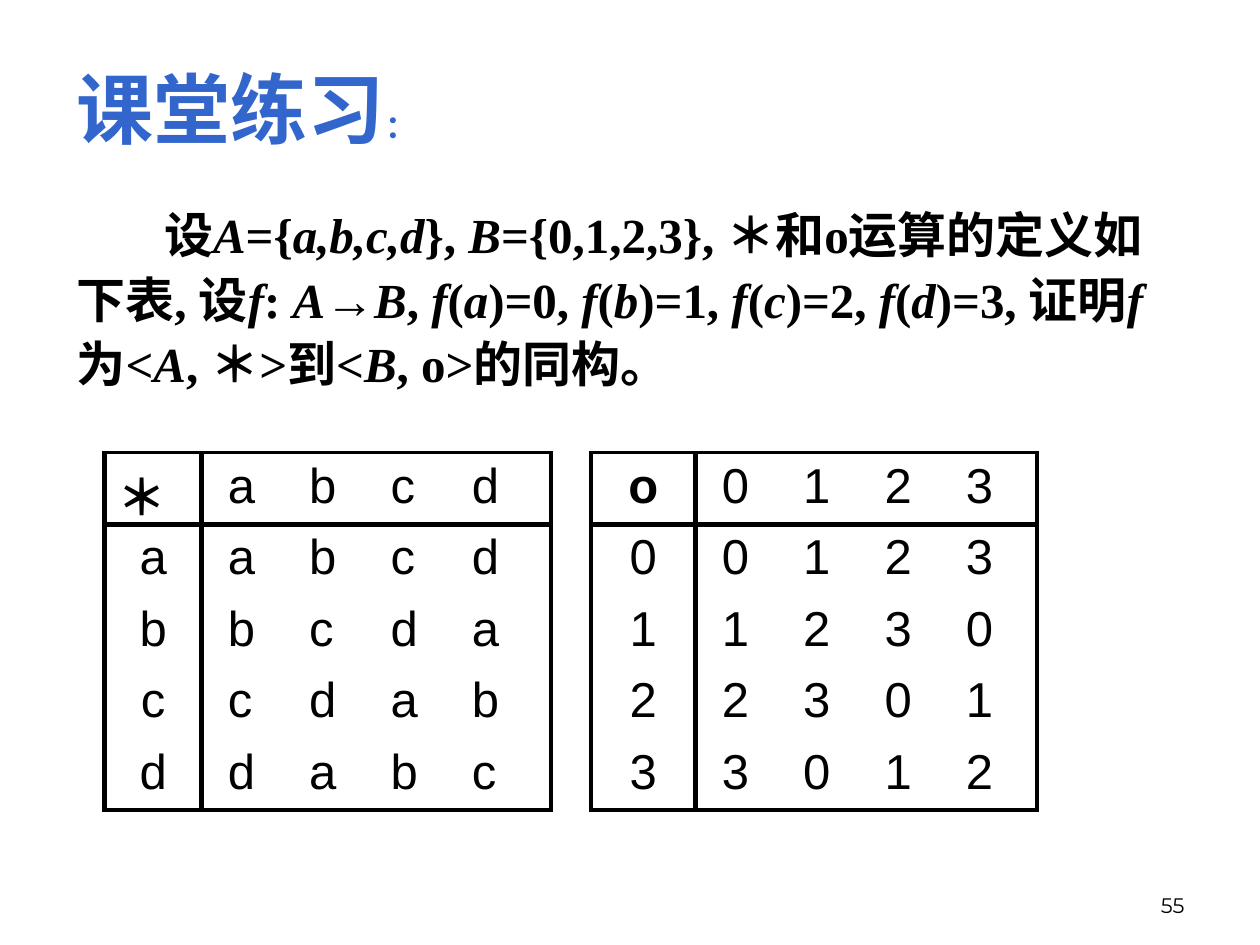
"""Build the classroom exercise slide on an isomorphism between two operation tables."""
from lxml import etree
from pptx import Presentation
from pptx import util as u
from pptx.dml import color
from pptx.enum import text
from pptx.oxml import ns

COLORS = {"ink": "000000", "title": "3366CC"}
Pt = u.Pt


def add_run(paragraph, words, size, font="Times New Roman", ink="ink", bold=True, italic=False):
    run = paragraph.add_run()
    run.text = words
    run.font.name, run.font.size = font, Pt(size)
    run.font.bold, run.font.italic = bold, italic
    run.font.color.rgb = color.RGBColor.from_string(COLORS[ink])


def add_border(cell, side, width):
    line = etree.SubElement(cell._tc.get_or_add_tcPr(), ns.qn(f"a:ln{side}"), w=str(Pt(width)))
    if width:
        fill = etree.SubElement(line, ns.qn("a:solidFill"))
        etree.SubElement(fill, ns.qn("a:srgbClr"), val=COLORS["ink"])
    else:
        etree.SubElement(line, ns.qn("a:noFill"))


deck = Presentation()
deck.slide_width, deck.slide_height = Pt(720), Pt(540)
slide = deck.slides.add_slide(deck.slide_layouts[5])

title = slide.shapes.title
title.left, title.top, title.width, title.height = Pt(36.7), Pt(26), Pt(211), Pt(59)
title.text_frame.word_wrap = False
title.text_frame.vertical_anchor = text.MSO_ANCHOR.TOP
heading = title.text_frame.paragraphs[0]
heading.alignment = text.PP_ALIGN.LEFT
heading.line_spacing = 1.1
add_run(heading, "课堂练习", 44, ink="title")
add_run(heading, "：", 18, ink="title")

exercise = slide.shapes.add_textbox(Pt(36.7), Pt(110), Pt(629.3), Pt(119.5))
exercise.text_frame.word_wrap = True
statement = exercise.text_frame.paragraphs[0]
statement.line_spacing = 1.1
statement._p.get_or_add_pPr().set("indent", str(Pt(50)))
wording = (
    "设|A|={|a,b,c,d|}, |B|={0,1,2,3}, ＊和o运算的定义如下表, 设|f|: |A|→|B|, "
    "|f|(|a|)=0, |f|(|b|)=1, |f|(|c|)=2, |f|(|d|)=3, 证明|f|为<|A|, ＊>到<|B|, o>的同构。"
)
for position, words in enumerate(wording.split("|")):
    add_run(statement, words, 28, italic=position % 2 == 1)

operations = [
    ("＊", "abcd", 59.8, 55.4, 3),
    ("o", "0123", 337.7, 59.8, 2.25),
]
for operator, elements, left, key_width, left_edge in operations:
    grid = slide.shapes.add_table(5, 2, Pt(left), Pt(258.7), Pt(255), Pt(204)).table
    grid.first_row = grid.horz_banding = False
    grid.columns[0].width, grid.columns[1].width = Pt(key_width), Pt(255 - key_width)
    keys = operator + elements
    for row, key in enumerate(keys):
        grid.rows[row].height = Pt(40.8)
        shift = max(row - 1, 0)
        results = "\t".join(elements[shift:] + elements[:shift])
        for column, words in enumerate((key, results)):
            cell = grid.cell(row, column)
            add_border(cell, "L", 3 if column else left_edge)
            add_border(cell, "R", 2.25 if column else 3)
            add_border(cell, "T", {0: 2.25, 1: 3}.get(row, 0))
            add_border(cell, "B", {0: 3, 4: 2.25}.get(row, 0))
            cell.fill.background()
            entry = cell.text_frame.paragraphs[0]
            if column:
                cell.margin_left = Pt(15)
                stops = etree.SubElement(entry._p.get_or_add_pPr(), ns.qn("a:tabLst"))
                for stop in range(1, 4):
                    etree.SubElement(stops, ns.qn("a:tab"), pos=str(Pt(46.5 * stop)), algn="l")
            elif key != "＊":
                entry.alignment = text.PP_ALIGN.CENTER
            add_run(entry, words, 28, "Arial", bold=row == column == 0)

page = slide.shapes.add_textbox(Pt(516), Pt(492), Pt(168), Pt(36))
page.text_frame.word_wrap = True
page.text_frame.vertical_anchor = text.MSO_ANCHOR.BOTTOM
number = page.text_frame.paragraphs[0]
number.alignment = text.PP_ALIGN.RIGHT
add_run(number, "55", 12, "Montserrat", bold=False)

deck.save("out.pptx")
